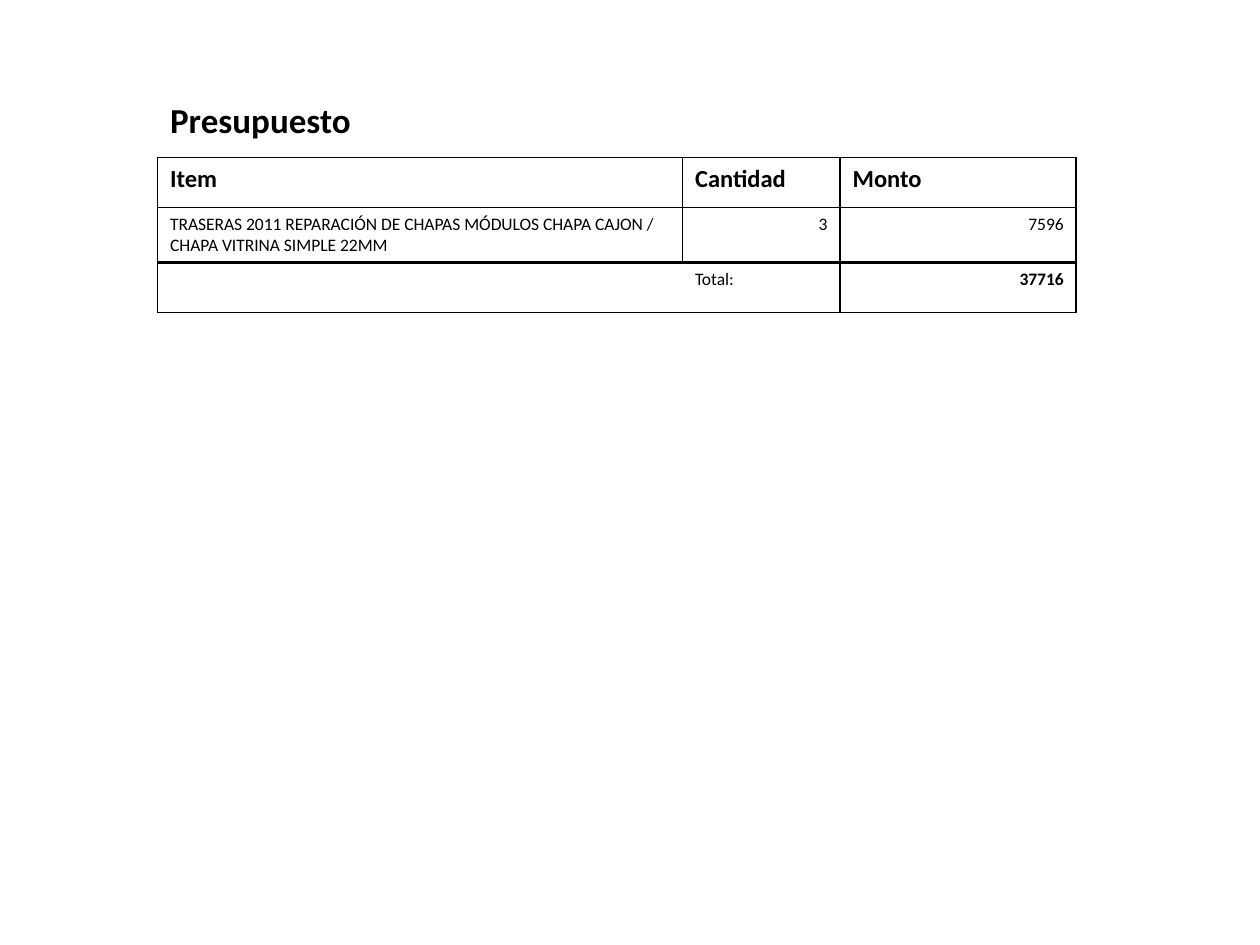
from lxml.etree import SubElement
from pptx import Presentation
from pptx.dml.color import RGBColor
from pptx.enum.text import MSO_ANCHOR as Anchor, MSO_AUTO_SIZE as AutoSize, PP_ALIGN as Align
from pptx.oxml.ns import qn
from pptx.util import Emu, Pt

PX = 9525  # 96 px to the inch
COLORS = {"ink": "000000", "paper": "FFFFFF"}
FONT = "Calibri"

COLUMN_WIDTHS = [400, 120, 180]
ROW_HEIGHT = 38
HEADER = {"size": 14, "bold": True}
BODY = {"size": 10, "bold": False}
LEFT, RIGHT = Align.LEFT, Align.RIGHT
# Each cell: text, alignment, font format
BUDGET = [
    [("Item", LEFT, HEADER), ("Cantidad", LEFT, HEADER), ("Monto", LEFT, HEADER)],
    [
        ("TRASERAS 2011 REPARACIÓN DE CHAPAS MÓDULOS CHAPA CAJON / "
         "CHAPA VITRINA SIMPLE 22MM", LEFT, BODY),
        ("3", RIGHT, BODY),
        ("7596", RIGHT, BODY),
    ],
    [("", LEFT, BODY), ("Total:", LEFT, BODY), ("37716", RIGHT, {"size": 10, "bold": True})],
]


def px(length):
    return Emu(length * PX)


def color(name):
    return RGBColor.from_string(COLORS[name])


def format_font(font, size, bold):
    values = {"name": FONT, "size": Pt(size), "bold": bold}
    for attribute, value in values.items():
        setattr(font, attribute, value)
    font.color.rgb = color("ink")


def add_title(slide, text, box):
    title = slide.shapes.title
    for attribute, length in zip(("left", "top", "width", "height"), box):
        setattr(title, attribute, px(length))
    frame = title.text_frame
    frame.text = text
    frame_format = {"word_wrap": True, "auto_size": AutoSize.NONE, "vertical_anchor": Anchor.TOP}
    for attribute, value in frame_format.items():
        setattr(frame, attribute, value)
    paragraph = frame.paragraphs[0]
    paragraph.alignment = LEFT
    format_font(paragraph.runs[0].font, 20, True)


def set_borders(cell, widths):
    """Draw the borders of a cell; widths maps L, R, T and B to points, 0 for none."""
    properties = cell._tc.get_or_add_tcPr()
    for position, side in enumerate("LRTB"):
        width = widths[side]
        line = SubElement(properties, qn(f"a:ln{side}"), w=str(Pt(width)))
        properties.insert(position, line)
        if width:
            fill = SubElement(line, qn("a:solidFill"))
            SubElement(fill, qn("a:srgbClr"), val=COLORS["ink"])
        else:
            SubElement(line, qn("a:noFill"))


def border_widths(row, column):
    """Thick rule above the total row, and no rule between its first two cells."""
    widths = dict.fromkeys("LRTB", 1)
    if row == 1:
        widths["B"] = 2
    elif row == 2:
        widths["T"] = 2
        if column < 2:
            widths["R" if column == 0 else "L"] = 0
    return widths


def fill_cell(cell, text, alignment, font_format):
    cell.fill.solid()
    cell.fill.fore_color.rgb = color("paper")
    cell.vertical_anchor = Anchor.TOP
    paragraph = cell.text_frame.paragraphs[0]
    paragraph.alignment = alignment
    if text:
        paragraph.add_run().text = text
        format_font(paragraph.runs[0].font, **font_format)
    else:
        format_font(paragraph.font, **font_format)


def add_budget_table(slide, left, top):
    table = slide.shapes.add_table(
        len(BUDGET), len(COLUMN_WIDTHS), px(left), px(top),
        px(sum(COLUMN_WIDTHS)), px(ROW_HEIGHT * len(BUDGET)),
    ).table
    table.first_row = table.horz_banding = False
    for column, width in zip(table.columns, COLUMN_WIDTHS):
        column.width = px(width)
    for r, entries in enumerate(BUDGET):
        table.rows[r].height = px(ROW_HEIGHT)
        for c, entry in enumerate(entries):
            cell = table.cell(r, c)
            fill_cell(cell, *entry)
            set_borders(cell, border_widths(r, c))


def main():
    deck = Presentation()
    deck.slide_width, deck.slide_height = px(960), px(720)
    slide = deck.slides.add_slide(deck.slide_layouts[5])
    add_title(slide, "Presupuesto", (120, 70, 600, 300))
    add_budget_table(slide, 120, 120)
    deck.save("out.pptx")


if __name__ == "__main__":
    main()
